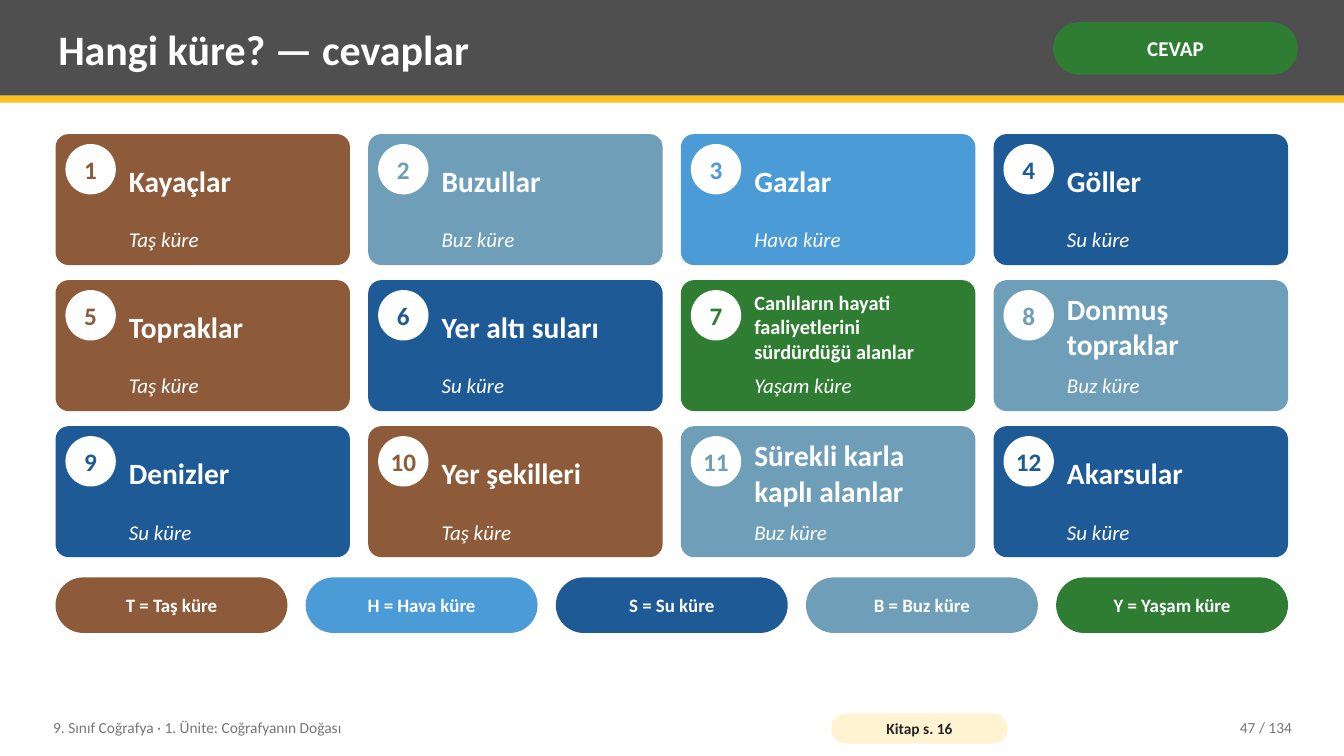
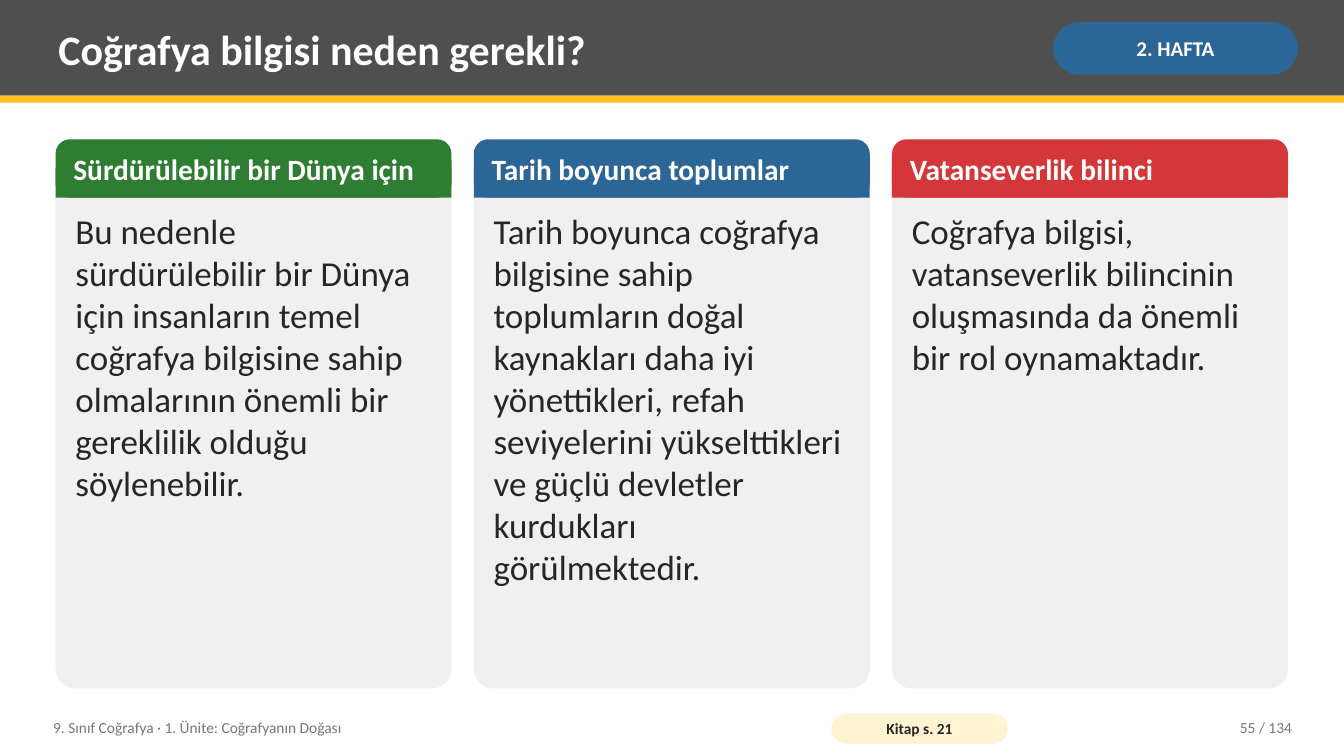
from pptx import Presentation
from pptx.dml.color import RGBColor
from pptx.enum.shapes import MSO_SHAPE
from pptx.enum.text import MSO_ANCHOR, PP_ALIGN
from pptx.util import Cm, Pt

COLORS = {
    "white": "FFFFFF", "band": "4F4F4F", "gold": "FCC021", "cream": "FFF3D1",
    "text": "262626", "muted": "767676", "panel": "F0F0F0",
    "green": "2E7D32", "blue": "2C6696", "red": "D3373A",
    "brown": "8D5B3A", "ice": "6F9FB8", "sky": "4A9BD6", "navy": "1E5A96",
}
FONT = "Calibri"
WIDTH, HEIGHT = 33.87, 19.05
LEFT, CONTENT_W, GAP = 1.4, 31.06, 0.46
UNIT = "9. Sınıf Coğrafya · 1. Ünite: Coğrafyanın Doğası"
PAGES = 134

SPHERES = {
    "T": ("Taş küre", "brown"),
    "H": ("Hava küre", "sky"),
    "S": ("Su küre", "navy"),
    "B": ("Buz küre", "ice"),
    "Y": ("Yaşam küre", "green"),
}
ANSWERS = [
    ("Kayaçlar", "T"), ("Buzullar", "B"), ("Gazlar", "H"), ("Göller", "S"),
    ("Topraklar", "T"), ("Yer altı suları", "S"),
    ("Canlıların hayati faaliyetlerini sürdürdüğü alanlar", "Y"),
    ("Donmuş topraklar", "B"),
    ("Denizler", "S"), ("Yer şekilleri", "T"),
    ("Sürekli karla kaplı alanlar", "B"), ("Akarsular", "S"),
]
REASONS = [
    ("Sürdürülebilir bir Dünya için", "green",
     "Bu nedenle sürdürülebilir bir Dünya için insanların temel coğrafya "
     "bilgisine sahip olmalarının önemli bir gereklilik olduğu söylenebilir."),
    ("Tarih boyunca toplumlar", "blue",
     "Tarih boyunca coğrafya bilgisine sahip toplumların doğal kaynakları daha iyi "
     "yönettikleri, refah seviyelerini yükselttikleri ve güçlü devletler "
     "kurdukları görülmektedir."),
    ("Vatanseverlik bilinci", "red",
     "Coğrafya bilgisi, vatanseverlik bilincinin oluşmasında da önemli bir rol "
     "oynamaktadır."),
]


def rgb(name):
    return RGBColor.from_string(COLORS[name])


def write(sp, text, size, color="white", bold=False, italic=False,
          align=PP_ALIGN.LEFT, anchor=MSO_ANCHOR.MIDDLE, inset=(0.2, 0.1), wrap=True):
    tf = sp.text_frame
    tf.text = text
    tf.word_wrap = wrap
    tf.vertical_anchor = anchor
    tf.margin_left = tf.margin_right = Cm(inset[0])
    tf.margin_top = tf.margin_bottom = Cm(inset[1])
    p = tf.paragraphs[0]
    p.alignment = align
    font = p.runs[0].font
    font.name, font.size, font.bold, font.italic = FONT, Pt(size), bold, italic
    font.color.rgb = rgb(color)


def add_label(s, x, y, w, h, text, size, **style):
    write(s.shapes.add_textbox(Cm(x), Cm(y), Cm(w), Cm(h)), text, size, **style)


def add_block(s, x, y, w, h, fill, kind=MSO_SHAPE.RECTANGLE, radius=None):
    sp = s.shapes.add_shape(kind, Cm(x), Cm(y), Cm(w), Cm(h))
    sp.shadow.inherit = False
    sp.fill.solid()
    sp.fill.fore_color.rgb = rgb(fill)
    sp.line.fill.background()
    if radius is not None:
        sp.adjustments[0] = radius
    return sp


def add_rounded(s, x, y, w, h, fill, radius):
    return add_block(s, x, y, w, h, fill, MSO_SHAPE.ROUNDED_RECTANGLE, radius)


def add_pill(s, x, y, w, h, fill, text, size, inset, color="white"):
    sp = add_rounded(s, x, y, w, h, fill, 0.5)
    write(sp, text, size, color, bold=True, align=PP_ALIGN.CENTER, inset=inset)


def split(count, gap):
    w = (CONTENT_W - gap * (count - 1)) / count
    return w, [LEFT + i * (w + gap) for i in range(count)]


def add_header(s, title, badge, badge_fill):
    add_block(s, 0, 0, WIDTH, 2.41, "band")
    add_block(s, 0, 2.41, WIDTH, 0.18, "gold")
    add_label(s, 1.27, 0.18, 24.77, 2.08, title, 30, bold=True)
    add_pill(s, 26.54, 0.56, 6.17, 1.32, badge_fill, badge, 15, (0.13, 0.05))


def add_footer(s, book_page, page):
    y, h = 17.88, 0.91
    add_label(s, 1.14, y, 19.3, h, UNIT, 11, color="muted")
    add_pill(s, 20.95, y + 0.1, 4.45, 0.76, "cream", f"Kitap s. {book_page}", 11,
             (0.1, 0), "text")
    add_label(s, 28.7, y, 4.06, h, f"{page} / {PAGES}", 11, color="muted",
              align=PP_ALIGN.RIGHT)


def add_answer_card(s, x, y, w, h, number, answer, sphere, fill):
    add_rounded(s, x, y, w, h, fill, 0.1)
    disc = add_block(s, x + 0.25, y + 0.25, 1.27, 1.27, "white", MSO_SHAPE.OVAL)
    write(disc, str(number), 18, fill, bold=True, align=PP_ALIGN.CENTER,
          inset=(0, 0), wrap=False)
    text_x, text_w = x + 1.65, w - 1.91
    size = 14.5 if len(answer) > 30 else 21
    add_label(s, text_x, y + 0.13, text_w, 2.08, answer, size, bold=True)
    add_label(s, text_x, y + 2.24, text_w, 0.91, sphere, 15, italic=True,
              anchor=MSO_ANCHOR.TOP)


def add_legend(s, y, h):
    w, lefts = split(len(SPHERES), GAP)
    for x, (letter, (sphere, fill)) in zip(lefts, SPHERES.items()):
        add_pill(s, x, y, w, h, fill, f"{letter} = {sphere}", 13.5, (0.36, 0.2))


def add_reason_column(s, x, y, w, h, heading, fill, body):
    head_h = 1.47
    add_rounded(s, x, y, w, h, "panel", 0.05)
    add_rounded(s, x, y, w, head_h, fill, 0.25)
    add_block(s, x, y + head_h / 2, w, head_h / 2, fill)
    add_label(s, x + 0.25, y, w - 0.5, head_h, heading, 21, bold=True)
    add_label(s, x + 0.3, y + 1.68, w - 0.6, h - 1.88, body, 25, color="text",
              anchor=MSO_ANCHOR.TOP)


def build_answers(s):
    add_header(s, "Hangi küre? — cevaplar", "CEVAP", "green")
    cols, top, h, row_gap = 4, 3.38, 3.3, 0.38
    w, lefts = split(cols, GAP)
    for i, (answer, letter) in enumerate(ANSWERS):
        row, col = divmod(i, cols)
        add_answer_card(s, lefts[col], top + row * (h + row_gap), w, h,
                        i + 1, answer, *SPHERES[letter])
    add_legend(s, 14.55, 1.4)
    add_footer(s, 16, 47)


def build_reasons(s):
    add_header(s, "Coğrafya bilgisi neden gerekli?", "2. HAFTA", "blue")
    w, lefts = split(len(REASONS), 0.56)
    for x, reason in zip(lefts, REASONS):
        add_reason_column(s, x, 3.51, w, 13.84, *reason)
    add_footer(s, 21, 55)


def main():
    prs = Presentation()
    prs.slide_width, prs.slide_height = Cm(WIDTH), Cm(HEIGHT)
    for build in (build_answers, build_reasons):
        build(prs.slides.add_slide(prs.slide_layouts[6]))
    prs.save("out.pptx")


if __name__ == "__main__":
    main()
